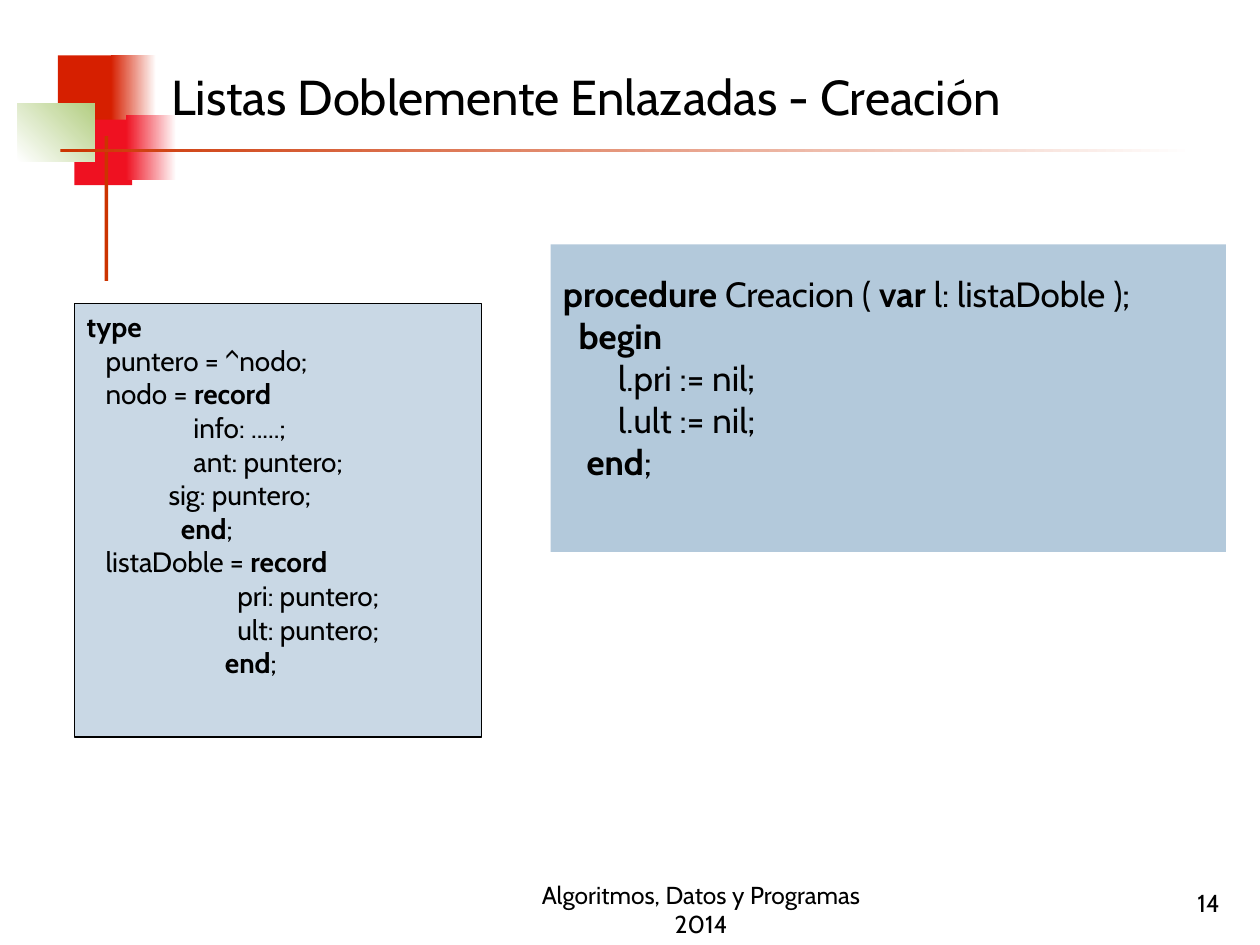
from pptx import Presentation
from pptx.dml.color import RGBColor
from pptx.enum import shapes, text
from pptx.util import Inches, Pt

BLACK = RGBColor(0x00, 0x00, 0x00)
WHITE = RGBColor(0xFF, 0xFF, 0xFF)
RED = RGBColor(0xD6, 0x1F, 0x00)
CRIMSON = RGBColor(0xEF, 0x11, 0x21)
GREEN = RGBColor(0xB3, 0xCE, 0x82)
RUST = RGBColor(0xCC, 0x33, 0x00)
BLUE = RGBColor(0xB3, 0xC9, 0xDB)
PALE_BLUE = RGBColor(0xC9, 0xD8, 0xE5)
FONT = "Cabin"


def add_rect(box, start, end=None, angle=0):
    sp = s.shapes.add_shape(shapes.MSO_SHAPE.RECTANGLE, *map(Inches, box))
    sp.shadow.inherit = False
    sp.line.fill.background()
    if end is None:
        sp.fill.solid()
        sp.fill.fore_color.rgb = start
    else:
        sp.fill.gradient()
        sp.fill.gradient_angle = angle
        for stop, color in zip(sp.fill.gradient_stops, (start, end)):
            stop.color.rgb = color
    return sp


def write(sp, lines, size, align, anchor):
    tf = sp.text_frame
    tf.word_wrap = True
    tf.vertical_anchor = anchor
    for i, line in enumerate(lines):
        p = tf.paragraphs[0] if i == 0 else tf.add_paragraph()
        p.alignment = align
        p.font.name = FONT
        p.font.size = Pt(size)
        p.font.color.rgb = BLACK
        for j, part in enumerate(line.split("*")):
            if part:
                r = p.add_run()
                r.text = part
                r.font.bold = j % 2 == 1


prs = Presentation()
prs.slide_width = Inches(10)
prs.slide_height = Inches(7.5)
s = prs.slides.add_slide(prs.slide_layouts[5])

add_rect((0.46, 0.44, 0.48, 0.52), RED)
add_rect((0.88, 0.44, 0.36, 0.52), RED, WHITE)
add_rect((0.59, 0.95, 0.46, 0.52), CRIMSON)
add_rect((1, 0.91, 0.4, 0.52), CRIMSON, WHITE)
add_rect((0.14, 0.82, 0.61, 0.46), WHITE, GREEN, 45)
add_rect((0.83, 1.08, 0.03, 1.15), RUST)
add_rect((0.48, 1.18, 9, 0.03), RUST, WHITE)

title = s.shapes.title
title.left, title.top = Inches(1.26), Inches(0.23)
title.width, title.height = Inches(8.52), Inches(1.07)
write(title, ["Listas Doblemente Enlazadas - Creación"], 28,
      text.PP_ALIGN.LEFT, text.MSO_ANCHOR.MIDDLE)

procedure = add_rect((4.37, 1.94, 5.36, 2.44), BLUE)
procedure.text_frame.margin_bottom = Inches(0.38)
write(procedure, [
    "*procedure* Creacion ( *var* l: listaDoble );",
    "*  begin*",
    "       l.pri := nil;",
    "       l.ult := nil;",
    "*   end*;",
], 20, text.PP_ALIGN.JUSTIFY, text.MSO_ANCHOR.MIDDLE)

types = add_rect((0.59, 2.41, 3.23, 3.44), PALE_BLUE)
types.line.color.rgb = BLACK
types.line.width = Pt(0.75)
write(types, [
    "*type*",
    "   puntero = ^nodo;",
    "   nodo = *record*",
    "                 info: .....;",
    "                 ant: puntero;",
    "\t   sig: puntero;",
    "               *end*;",
    "   listaDoble = *record*",
    "                        pri: puntero;",
    "                        ult: puntero;",
    "                      *end*;",
], 16, text.PP_ALIGN.LEFT, text.MSO_ANCHOR.TOP)

for box, label, align in (
    ((7.7, 6.83, 2.08, 0.5), "14", text.PP_ALIGN.RIGHT),
    ((3.98, 7, 3.17, 0.5), "Algoritmos, Datos y Programas 2014", text.PP_ALIGN.CENTER),
):
    tb = s.shapes.add_textbox(*map(Inches, box))
    write(tb, [label], 14, align, text.MSO_ANCHOR.BOTTOM)

prs.save("out.pptx")
